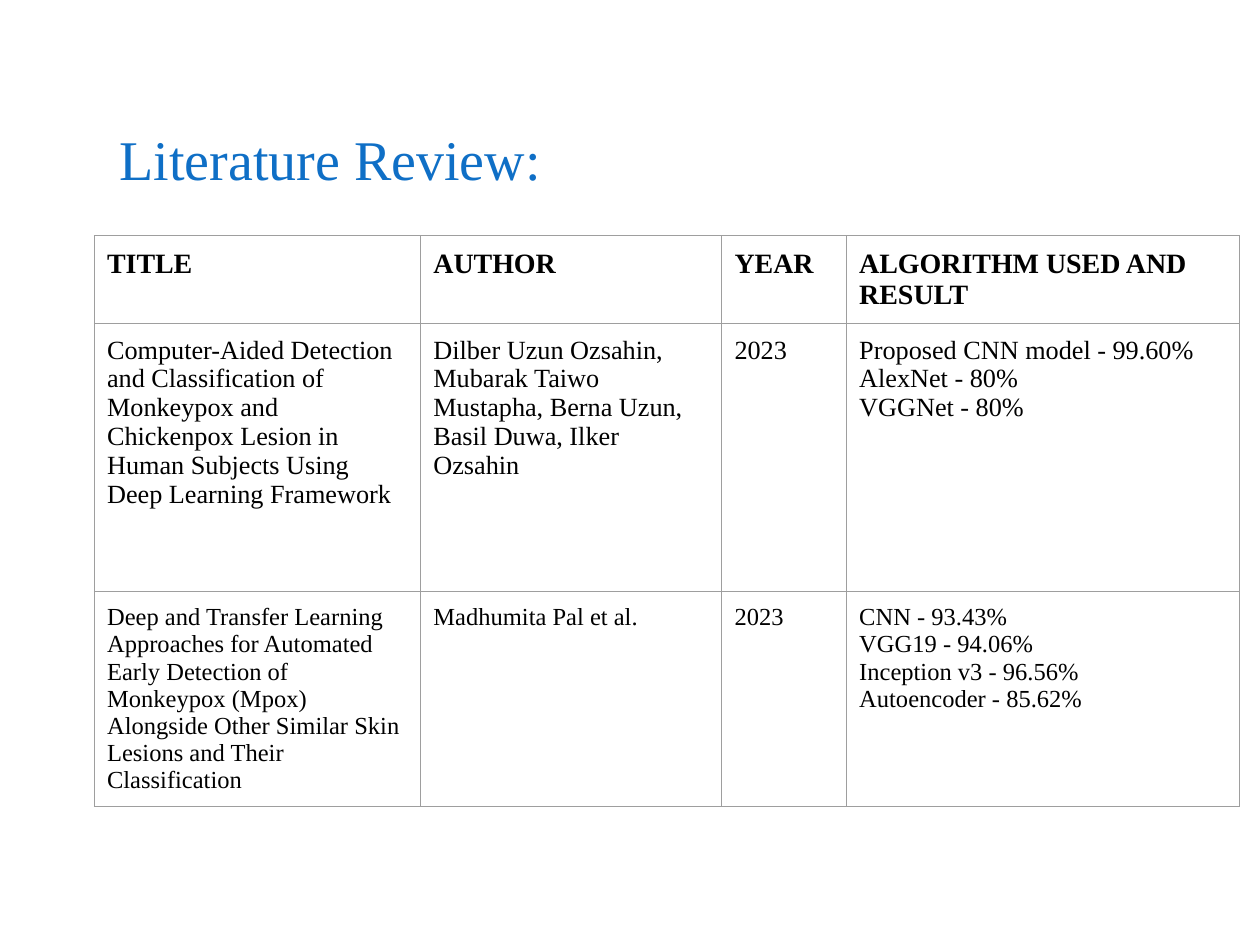
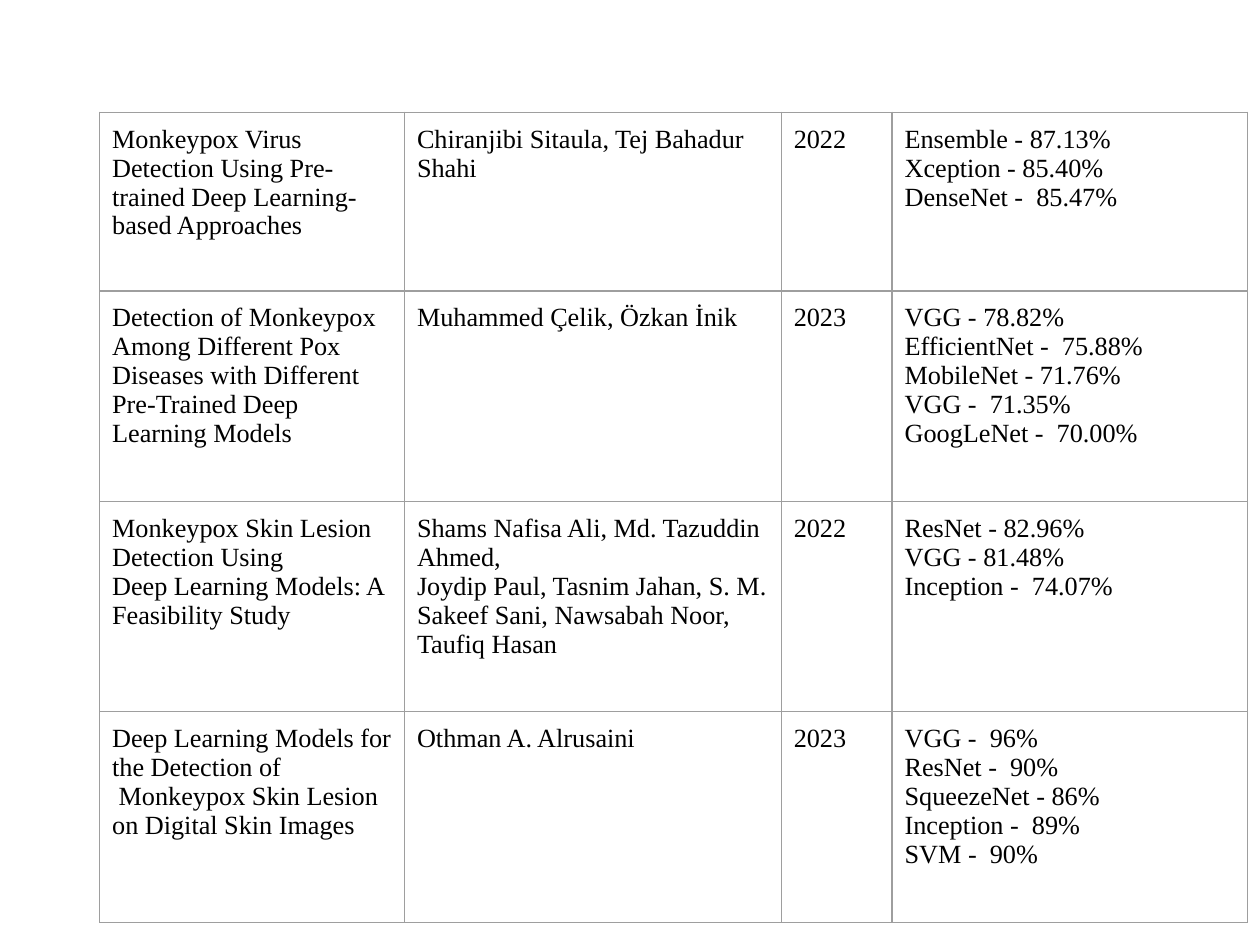
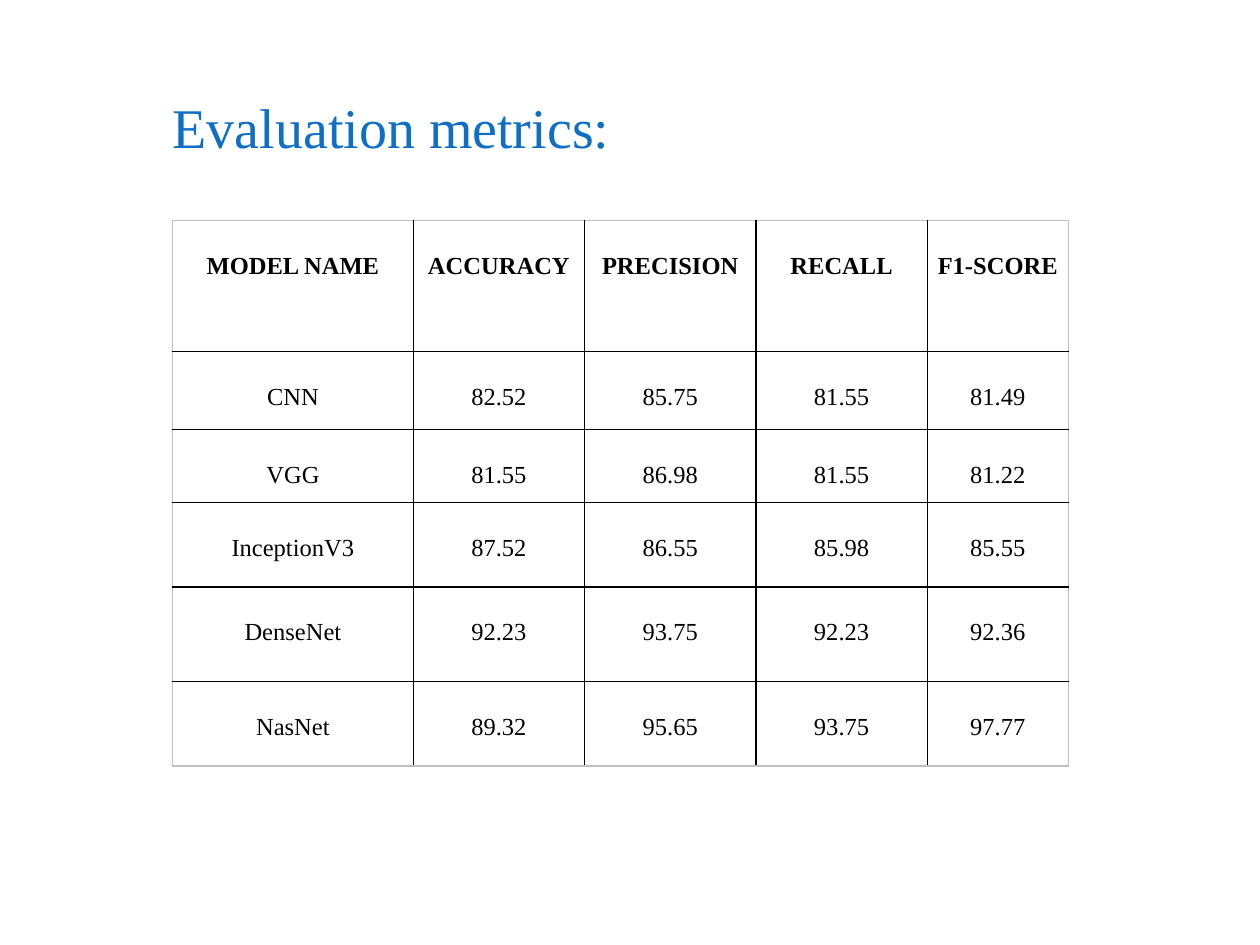
"""Build three slides: two literature tables and one table of evaluation metrics."""
from pptx import Presentation
from pptx.dml.color import RGBColor
from pptx.enum.text import MSO_ANCHOR as Anchor, MSO_AUTO_SIZE as Fit, PP_ALIGN as Align
from pptx.oxml import parse_xml
from pptx.oxml.ns import nsdecls
from pptx.util import Inches, Pt

FACE = "Times New Roman"
BLUE, BLACK, GREY, PALE = "0F6FC6", "000000", "9E9E9E", "BFBFBF"


def style(para, size, color, bold=False):
    para.font.name, para.font.size, para.font.bold = FACE, Pt(size), bold
    para.font.color.rgb = RGBColor.from_string(color)


def border(cell, colors, width):
    for i, (side, color) in enumerate(zip("LRTB", colors)):
        cell._tc.get_or_add_tcPr().insert(i, parse_xml(
            f'<a:ln{side} {nsdecls("a")} w="{Pt(width)}"><a:solidFill>'
            f'<a:srgbClr val="{color}"/></a:solidFill></a:ln{side}>'))


review = [
    ["TITLE", "AUTHOR", "YEAR", "ALGORITHM USED AND RESULT"],
    ["Computer-Aided Detection and Classification of Monkeypox and Chickenpox Lesion "
     "in Human Subjects Using Deep Learning Framework",
     "Dilber Uzun Ozsahin, Mubarak Taiwo Mustapha, Berna Uzun, Basil Duwa, Ilker Ozsahin",
     "2023", "Proposed CNN model - 99.60%\nAlexNet - 80%\nVGGNet - 80%"],
    ["Deep and Transfer Learning Approaches for Automated Early Detection of Monkeypox "
     "(Mpox) Alongside Other Similar Skin Lesions and Their Classification",
     "Madhumita Pal et al.", "2023",
     "CNN - 93.43%\nVGG19 - 94.06%\nInception v3 - 96.56%\nAutoencoder - 85.62%"],
]
studies = [
    ["Monkeypox Virus Detection Using Pre-trained Deep Learning-based Approaches",
     "Chiranjibi Sitaula, Tej Bahadur Shahi", "2022",
     "Ensemble - 87.13%\nXception - 85.40%\nDenseNet -  85.47%"],
    ["Detection of Monkeypox Among Different Pox Diseases with Different Pre-Trained "
     "Deep Learning Models", "Muhammed Çelik, Özkan İnik", "2023",
     "VGG - 78.82%\nEfficientNet -  75.88%\nMobileNet - 71.76%\nVGG -  71.35%\n"
     "GoogLeNet -  70.00%"],
    ["Monkeypox Skin Lesion Detection Using\nDeep Learning Models: A Feasibility Study",
     "Shams Nafisa Ali, Md. Tazuddin Ahmed,\nJoydip Paul, Tasnim Jahan, S. M. Sakeef Sani, "
     "Nawsabah Noor, Taufiq Hasan", "2022",
     "ResNet - 82.96%\nVGG - 81.48%\nInception -  74.07%"],
    ["Deep Learning Models for the Detection of\n Monkeypox Skin Lesion on Digital Skin Images",
     "Othman A. Alrusaini", "2023",
     "VGG -  96%\nResNet -  90%\nSqueezeNet - 86%\nInception -  89%\nSVM -  90%"],
]
scores = [
    ["MODEL NAME", "ACCURACY", "PRECISION", "RECALL", "F1-SCORE"],
    ["CNN", "82.52", "85.75", "81.55", "81.49"],
    ["VGG", "81.55", "86.98", "81.55", "81.22"],
    ["InceptionV3", "87.52", "86.55", "85.98", "85.55"],
    ["DenseNet", "92.23", "93.75", "92.23", "92.36"],
    ["NasNet", "89.32", "95.65", "93.75", "97.77"],
]
paper = dict(pad=(0.1, 0.1), align=Align.LEFT, space=1, inner=GREY, outer=GREY, width=0.75)
metric = dict(pad=(0.08, 0.04), align=Align.CENTER, space=2, inner=BLACK, outer=PALE, width=1)
pages = [
    dict(paper, title="Literature Review:", box=(0.95, 0.74, 6.14, 0.78), lead=1.5,
         at=(0.75, 1.87), cols=[2.59, 2.39, 0.99, 3.12], rows=[0.69, 2.13, 1.71],
         sizes=[16, 15, 14], head=True, data=review),
    dict(paper, title=None, at=(0.79, 0.89), cols=[2.42, 2.99, 0.88, 2.82],
         rows=[1.42] + [1.67] * 3, sizes=[15] * 4, head=False, data=studies),
    dict(metric, title="Evaluation metrics:", box=(1.37, 0.78, 5.33, 0.49), lead=1,
         at=(1.37, 1.75), cols=[1.91, 1.36, 1.36, 1.36, 1.12],
         rows=[1.04, 0.62, 0.58, 0.67, 0.75, 0.67], sizes=[14] * 6, head=True, data=scores),
]

deck = Presentation()
deck.slide_width, deck.slide_height = Inches(10), Inches(7.5)

for page in pages:
    slide = deck.slides.add_slide(deck.slide_layouts[5 if page["title"] else 6])
    if page["title"]:
        title = slide.shapes.title
        title.left, title.top, title.width, title.height = map(Inches, page["box"])
        frame = title.text_frame
        frame.text = page["title"]
        frame.auto_size, frame.vertical_anchor = Fit.NONE, Anchor.BOTTOM
        frame.margin_left = frame.margin_right = frame.margin_bottom = 0
        frame.margin_top = Inches(0.05)
        para = frame.paragraphs[0]
        para.alignment, para.line_spacing = Align.LEFT, page["lead"]
        style(para, 32, BLUE)

    cols, rows = page["cols"], page["rows"]
    left, top = page["at"]
    table = slide.shapes.add_table(len(rows), len(cols), Inches(left), Inches(top),
                                   Inches(sum(cols)), Inches(sum(rows))).table
    table.first_row, table.horz_banding = page["head"], False
    for col, width in zip(table.columns, cols):
        col.width = Inches(width)
    for r, (row, height) in enumerate(zip(table.rows, rows)):
        row.height = Inches(height)
        for c, cell in enumerate(row.cells):
            cell.text = page["data"][r][c]
            cell.fill.background()
            cell.margin_left = cell.margin_right = Inches(page["pad"][0])
            cell.margin_top = cell.margin_bottom = Inches(page["pad"][1])
            edges = c == 0, c == len(cols) - 1, r == 0, r == len(rows) - 1
            border(cell, [page["outer" if edge else "inner"] for edge in edges], page["width"])
            for para in cell.text_frame.paragraphs:
                para.alignment, para.line_spacing = page["align"], page["space"]
                style(para, page["sizes"][r], BLACK, page["head"] and r == 0)

deck.save("out.pptx")
